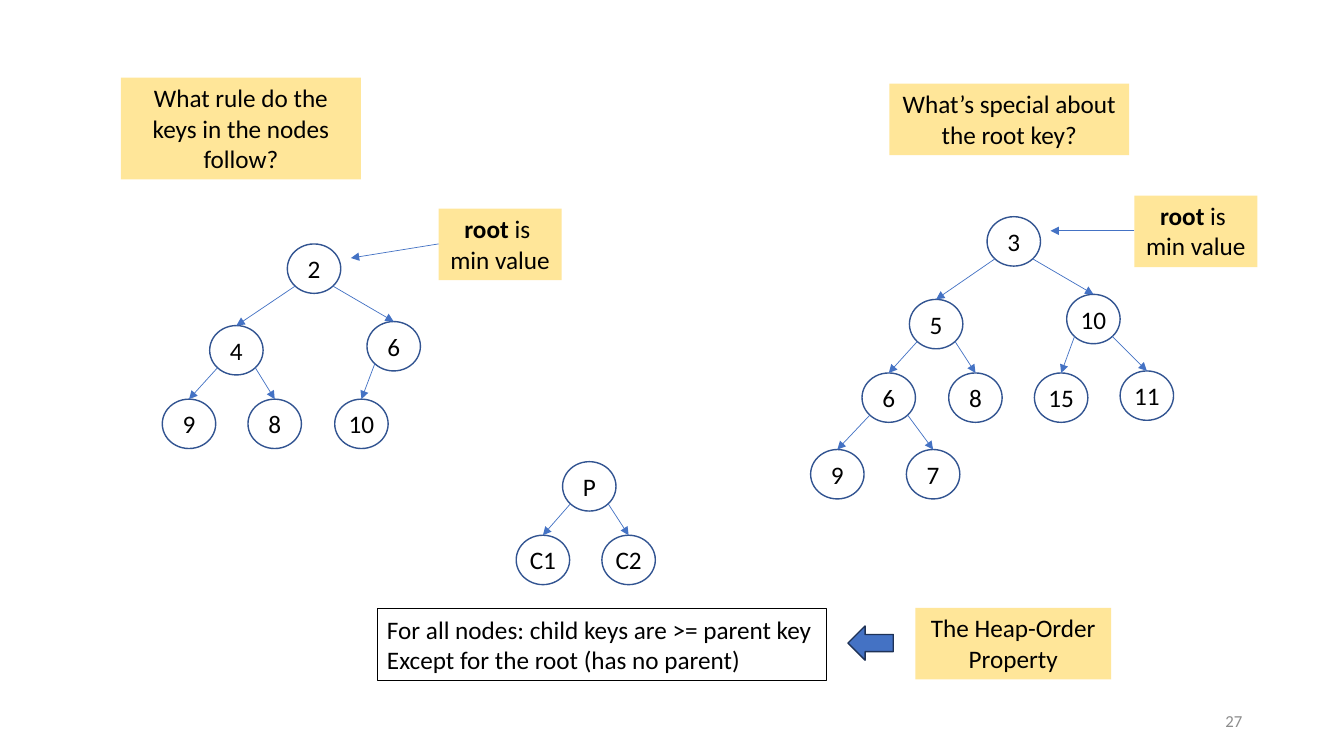
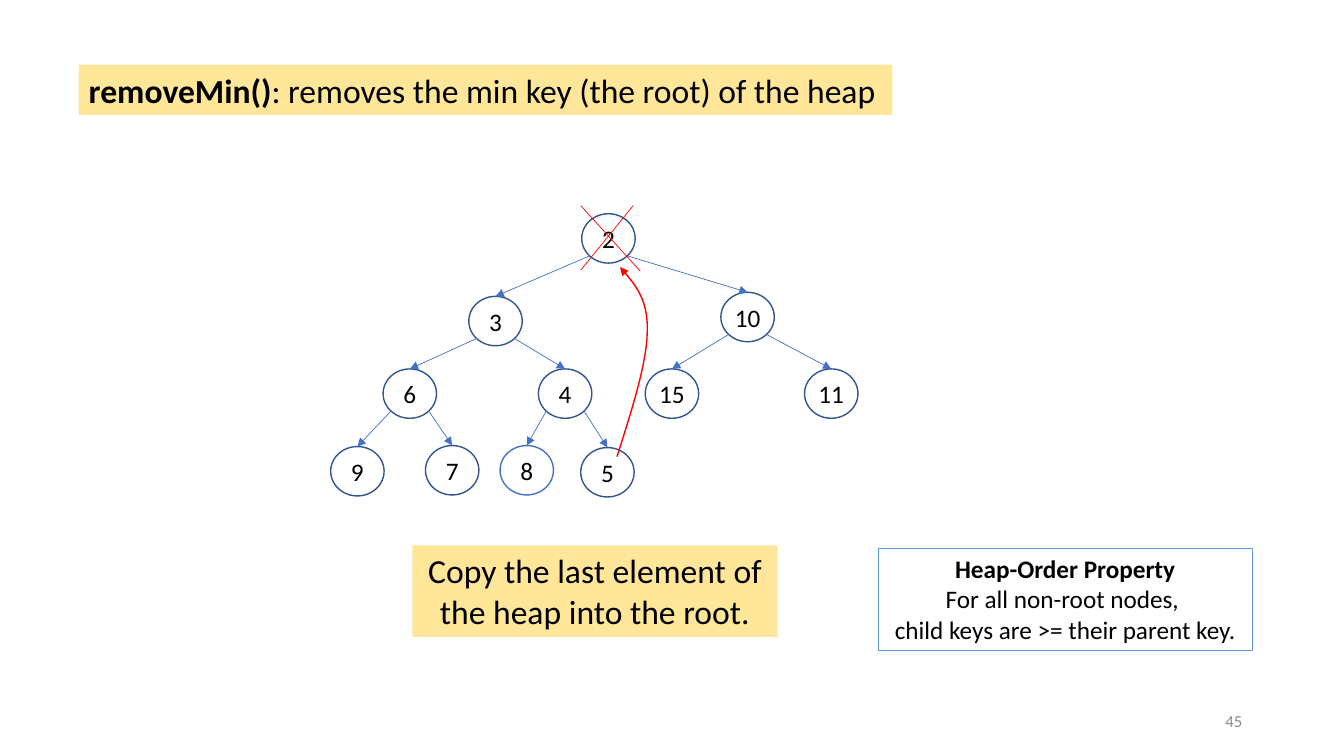
from pptx import Presentation
from pptx.dml.color import RGBColor
from pptx.enum.shapes import MSO_CONNECTOR, MSO_SHAPE
from pptx.enum.text import MSO_ANCHOR, MSO_AUTO_SIZE, PP_ALIGN
from pptx.oxml.ns import qn
from pptx.util import Inches, Pt
from lxml.etree import SubElement

FONT = "Calibri"
BLACK, GREY, WHITE = "000000", "8C8C8C", "FFFFFF"
YELLOW, BLUE, NAVY, RED = "FFE699", "4472C4", "325491", "FF0000"
LEFT, CENTER, RIGHT = PP_ALIGN.LEFT, PP_ALIGN.CENTER, PP_ALIGN.RIGHT
BLANK_LAYOUT, TITLE_ONLY_LAYOUT = 6, 5
NODE_WIDTH, NODE_HEIGHT = 0.53, 0.49
EDGE_INSET = 0.146  # share of a node's box outside the ellipse on its diagonal

# Heaps in level order: key, left, top. The children of item i are 2i + 1 and 2i + 2.
SMALL_HEAP = [("2", 2.85, 2.42), ("4", 2.08, 3.23), ("6", 3.64, 3.19),
              ("9", 1.61, 3.96), ("8", 2.46, 3.96), ("10", 3.32, 3.96)]
LARGE_HEAP = [("3", 9.79, 2.15), ("5", 9.02, 2.97), ("10", 10.58, 2.92),
              ("6", 8.55, 3.7), ("8", 9.41, 3.7), ("15", 10.26, 3.7),
              ("11", 11.11, 3.68), ("9", 8.04, 4.46), ("7", 8.99, 4.46)]
PARENT_RULE = [("P", 5.58, 4.58), ("C1", 5.12, 5.31), ("C2", 5.97, 5.31)]
REMOVAL_HEAP = [("2", 5.77, 2.12), ("3", 4.65, 2.94), ("10", 7.15, 2.9),
                ("6", 3.8, 3.66), ("4", 5.34, 3.66), ("15", 6.4, 3.66),
                ("11", 7.98, 3.66), ("9", 3.28, 4.43), ("7", 4.22, 4.42),
                ("8", 4.96, 4.42), ("5", 5.76, 4.44)]
NEW_KEY_INDEX = 9

# Text is a list of lines; a line is a list of (text, bold) runs.
QUESTIONS = [
    ((1.2, 0.77, 2.38, 1.01), [[("What rule do the keys in the nodes follow?", False)]]),
    ((8.82, 0.83, 2.38, 0.71), [[("What’s special about the root key?", False)]]),
    ((9.08, 6.03, 1.94, 0.71), [[("The Heap-Order Property", False)]]),
]
ROOT_NOTE = [[("root", True), (" is ", False)], [("min value", False)]]
ROOT_NOTES = [  # card corner, arrow start, arrow end
    ((4.35, 2.07), (4.35, 2.42), (3.48, 2.56)),
    ((11.25, 1.94), (11.25, 2.29), (10.42, 2.29)),
]
HEAP_RULE = [[("For all nodes: child keys are >= parent key", False)],
             [("Except for the root (has no parent)", False)]]
REMOVE_TITLE = [[("removeMin()", True),
                 (": removes the min key (the root) of the heap", False)]]
COPY_STEP = [[("Copy the last element of the heap into the root.", False)]]
HEAP_PROPERTY = [[("Heap-Order Property", True)],
                 [("For all non-root nodes, ", False)],
                 [("child keys are >= their parent key.", False)]]
CROSS = [((5.76, 2.04), (6.35, 2.69)), ((6.28, 2.04), (5.76, 2.68))]
COPY_CURVES = [((6.12, 4.53), (6.27, 4.06), (6.42, 3.59), (6.42, 3.28)),
               ((6.42, 3.28), (6.43, 2.96), (6.29, 2.81), (6.15, 2.65))]


def rgb(color):
    return RGBColor.from_string(color)


def inches(*values):
    return [Inches(value) for value in values]


def paint(shape, fill=None, line=None, width=1):
    if fill:
        shape.fill.solid()
        shape.fill.fore_color.rgb = rgb(fill)
    else:
        shape.fill.background()
    if line:
        shape.line.color.rgb = rgb(line)
        shape.line.width = Pt(width)
    else:
        shape.line.fill.background()


def write(shape, lines, size=18, align=CENTER, color=BLACK, anchor=MSO_ANCHOR.TOP):
    frame = shape.text_frame
    frame.word_wrap = True
    frame.auto_size = MSO_AUTO_SIZE.NONE
    frame.vertical_anchor = anchor
    for number, line in enumerate(lines):
        para = frame.add_paragraph() if number else frame.paragraphs[0]
        para.alignment = align
        para.font.name, para.font.size = FONT, Pt(size)
        para.font.color.rgb = rgb(color)
        for text, bold in line:
            span = para.add_run()
            span.text = text
            span.font.bold = bold


def add_card(page, place, lines, fill=YELLOW, line=None, size=18, align=CENTER):
    card = page.shapes.add_textbox(*inches(*place))
    paint(card, fill, line, 0.75)
    write(card, lines, size, align)


def add_arrowhead(shape):
    SubElement(shape.line._get_or_add_ln(), qn("a:tailEnd"), type="triangle")


def add_line(page, start, end, color=BLUE, arrow=True):
    line = page.shapes.add_connector(MSO_CONNECTOR.STRAIGHT, *inches(*start, *end))
    line.line.color.rgb = rgb(color)
    line.line.width = Pt(0.5)
    if arrow:
        add_arrowhead(line)
    SubElement(line._element.spPr, qn("a:effectLst"))


def add_node(page, key, left, top):
    node = page.shapes.add_shape(
        MSO_SHAPE.OVAL, *inches(left, top, NODE_WIDTH, NODE_HEIGHT))
    node.shadow.inherit = False
    paint(node, line=NAVY)
    frame = node.text_frame
    frame.margin_left = frame.margin_right = frame.margin_top = frame.margin_bottom = 0
    write(node, [[(key, False)]], anchor=MSO_ANCHOR.MIDDLE)
    return node


def add_heap(page, heap):
    """Draw the nodes and the arrows from each parent; return the nodes."""
    nodes = [add_node(page, *item) for item in heap]
    for index, (_, left, top) in enumerate(heap[1:], start=1):
        _, parent_left, parent_top = heap[(index - 1) // 2]
        share = EDGE_INSET if index % 2 else 1 - EDGE_INSET
        start = (parent_left + share * NODE_WIDTH,
                 parent_top + (1 - EDGE_INSET) * NODE_HEIGHT)
        add_line(page, start, (left + NODE_WIDTH / 2, top))
    return nodes


def bezier_point(curve, t):
    weights = ((1 - t) ** 3, 3 * t * (1 - t) ** 2, 3 * t ** 2 * (1 - t), t ** 3)
    return tuple(sum(weight * point[axis] for weight, point in zip(weights, curve))
                 for axis in (0, 1))


def add_curved_arrow(page, curves, steps=12):
    points = [bezier_point(curve, step / steps)
              for curve in curves for step in range(1, steps + 1)]
    builder = page.shapes.build_freeform(*inches(*curves[0][0]))
    builder.add_line_segments([inches(*point) for point in points], close=False)
    arrow = builder.convert_to_shape()
    arrow.shadow.inherit = False
    paint(arrow, line=RED)
    add_arrowhead(arrow)


def add_page(deck, layout, number):
    page = deck.slides.add_slide(deck.slide_layouts[layout])
    footer = page.shapes.add_textbox(*inches(9.42, 6.95, 3, 0.4))
    write(footer, [[(number, False)]], 12, RIGHT, GREY, MSO_ANCHOR.MIDDLE)
    return page


def build_rule_page(deck):
    page = add_page(deck, BLANK_LAYOUT, "27")
    for heap in (LARGE_HEAP, SMALL_HEAP, PARENT_RULE):
        add_heap(page, heap)
    for place, lines in QUESTIONS:
        add_card(page, place, lines)
    for corner, start, end in ROOT_NOTES:
        add_card(page, (*corner, 1.22, 0.71), ROOT_NOTE)
        add_line(page, start, end)
    add_card(page, (3.74, 6.04, 4.46, 0.71), HEAP_RULE, None, BLACK, align=LEFT)
    pointer = page.shapes.add_shape(
        MSO_SHAPE.LEFT_ARROW, *inches(8.41, 6.21, 0.45, 0.34))
    pointer.shadow.inherit = False
    paint(pointer, BLUE, "1E3256")


def build_removal_page(deck):
    page = add_page(deck, TITLE_ONLY_LAYOUT, "45")
    title = page.shapes.title
    title.left, title.top, title.width, title.height = inches(0.78, 0.64, 8.07, 0.5)
    paint(title, YELLOW)
    write(title, REMOVE_TITLE, 24, LEFT)
    nodes = add_heap(page, REMOVAL_HEAP)
    nodes[NEW_KEY_INDEX].line.color.rgb = rgb(BLUE)
    for start, end in CROSS:
        add_line(page, start, end, RED, arrow=False)
    add_card(page, (8.71, 5.44, 3.71, 1.01), HEAP_PROPERTY, None, "5B9BD5")
    add_curved_arrow(page, COPY_CURVES)
    add_card(page, (4.09, 5.41, 3.62, 0.91), COPY_STEP, size=24)


def main():
    deck = Presentation()
    deck.slide_width, deck.slide_height = inches(13.33, 7.5)
    background = deck.slide_master.background.fill
    background.solid()
    background.fore_color.rgb = rgb(WHITE)
    build_rule_page(deck)
    build_removal_page(deck)
    deck.save("out.pptx")


if __name__ == "__main__":
    main()
